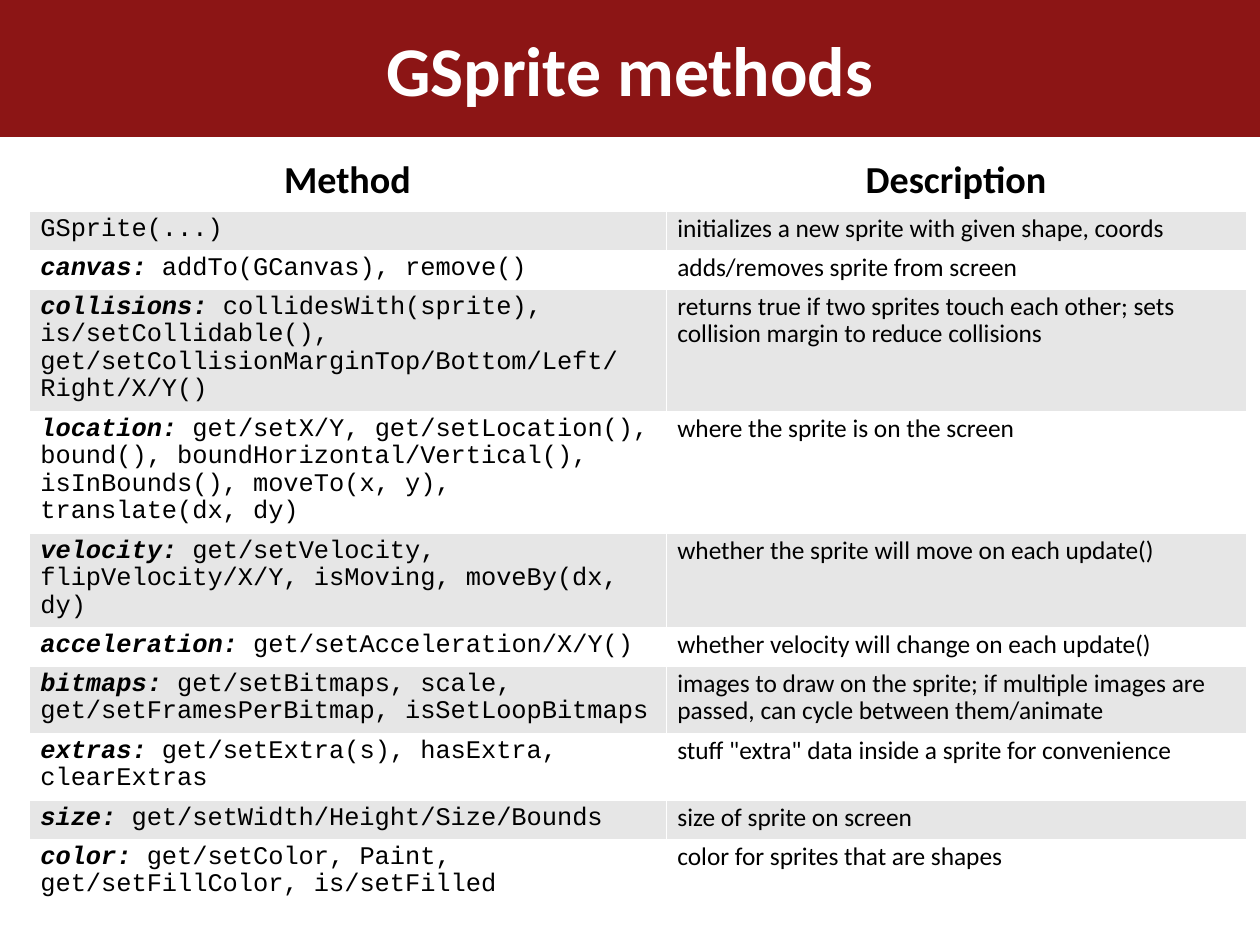
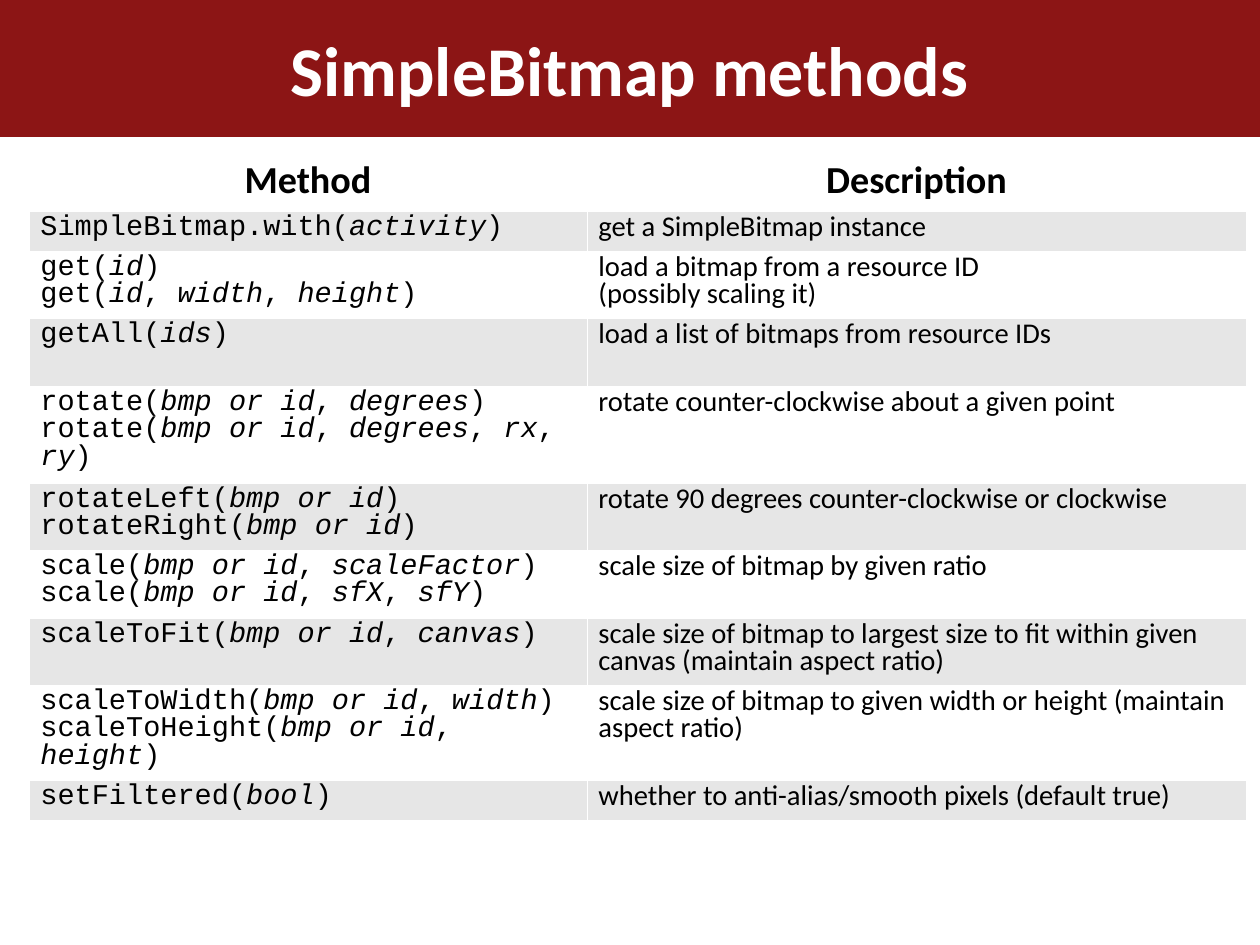
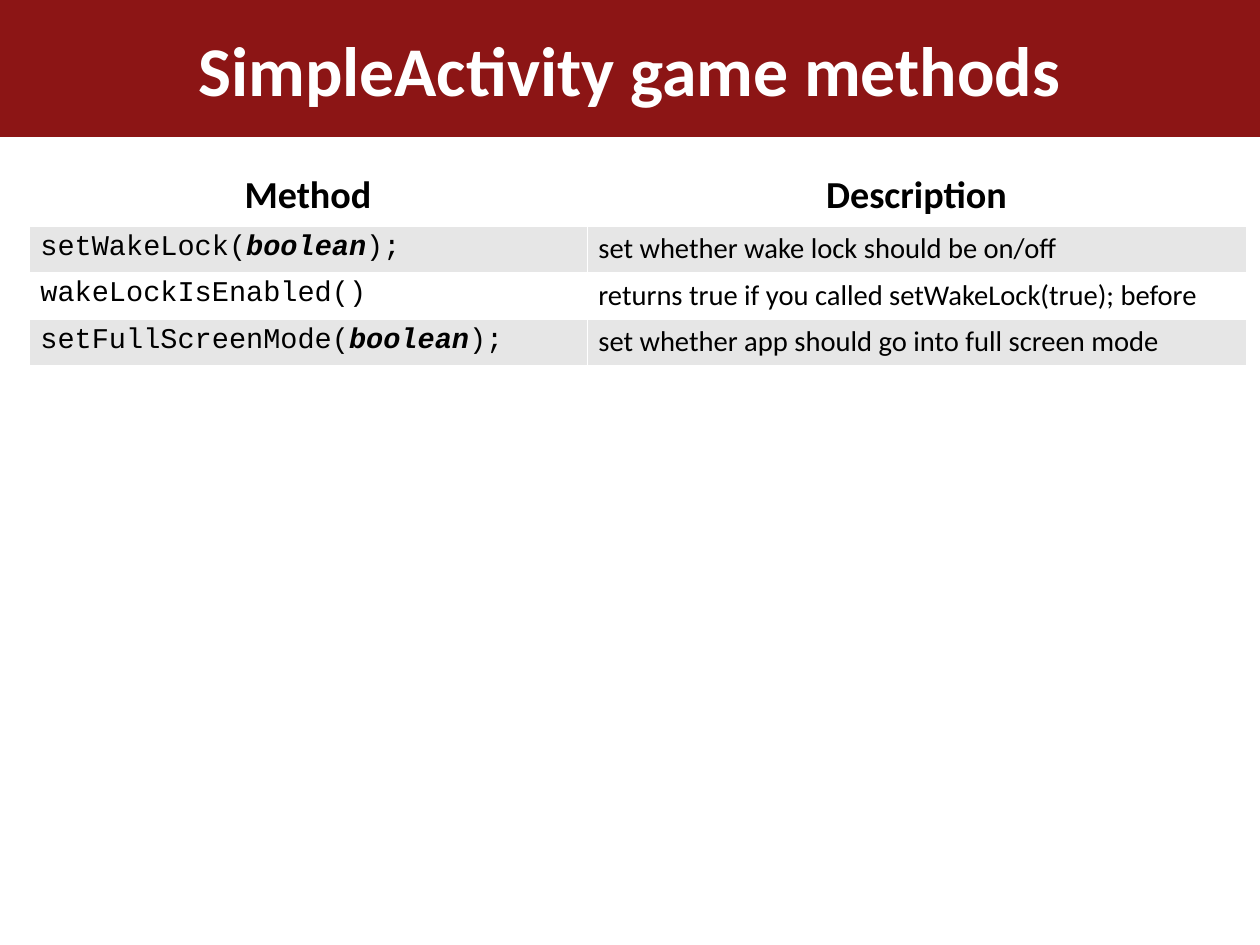
from dataclasses import dataclass

from lxml import etree
from pptx import Presentation
from pptx.dml.color import RGBColor
from pptx.enum import text as kinds
from pptx.oxml import ns
from pptx.util import Emu, Pt


@dataclass(frozen=True)
class Theme:
    band: str = "8C1515"
    white: str = "FFFFFF"
    black: str = "000000"
    stripe: str = "E6E6E6"
    body_font: str = "Calibri"
    code_font: str = "Courier New"
    title_size: int = 44
    head_size: int = 24
    leading: float = 17.3
    border: float = 0.06


THEME = Theme()
PX = 8000
PAGE_WIDTH, PAGE_HEIGHT, BAND_HEIGHT = 1260, 945, 137
TABLE_LEFT, TABLE_RIGHT, HEAD_HEIGHT = 29, 1246, 59
HEADINGS = ("Method", "Description")

PAGES = [
    dict(
        title="GSprite methods", top=152, split=666,
        size=16, leading=THEME.leading, strong=True,
        rows=[
            (39, "GSprite(...)", "initializes a new sprite with given shape, coords"),
            (39, "*canvas:* addTo(GCanvas), remove()", "adds/removes sprite from screen"),
            (122, "*collisions:* collidesWith(sprite), is/setCollidable(),\n"
                  "get/setCollisionMarginTop/Bottom/Left/Right/X/Y()",
             "returns true if two sprites touch each other; sets collision margin to reduce collisions"),
            (122, "*location:* get/setX/Y, get/setLocation(),\n"
                  "bound(), boundHorizontal/Vertical(), isInBounds(), moveTo(x, y), translate(dx, dy)",
             "where the sprite is on the screen"),
            (94, "*velocity:* get/setVelocity, flipVelocity/X/Y, isMoving, moveBy(dx, dy)",
             "whether the sprite will move on each update()"),
            (39, "*acceleration:* get/setAcceleration/X/Y()",
             "whether velocity will change on each update()"),
            (67, "*bitmaps:* get/setBitmaps, scale, get/setFramesPerBitmap, isSetLoopBitmaps",
             "images to draw on the sprite; if multiple images are passed, can cycle between them/animate"),
            (67, "*extras:* get/setExtra(s), hasExtra, clearExtras",
             'stuff "extra" data inside a sprite for convenience'),
            (39, "*size:* get/setWidth/Height/Size/Bounds", "size of sprite on screen"),
            (67, "*color:* get/setColor, Paint, get/setFillColor, is/setFilled",
             "color for sprites that are shapes"),
        ],
    ),
    dict(
        title="SimpleBitmap methods", top=152, split=587,
        size=18, leading=THEME.leading, strong=False,
        rows=[
            (40, "SimpleBitmap.with(*activity*)", "get a SimpleBitmap instance"),
            (67, "get(*id*)\nget(*id*, *width*, *height*)",
             "load a bitmap from a resource ID\n(possibly scaling it)"),
            (68, "getAll(*ids*)", "load a list of bitmaps from resource IDs"),
            (97, "rotate(*bmp or id*, *degrees*)\nrotate(*bmp or id*, *degrees*, *rx*, *ry*)",
             "rotate counter-clockwise about a given point"),
            (67, "rotateLeft(*bmp or id*)\nrotateRight(*bmp or id*)",
             "rotate 90 degrees counter-clockwise or clockwise"),
            (68, "scale(*bmp or id*, *scaleFactor*)\nscale(*bmp or id*, *sfX*, *sfY*)",
             "scale size of bitmap by given ratio"),
            (67, "scaleToFit(*bmp or id*, *canvas*)",
             "scale size of bitmap to largest size to fit within given canvas (maintain aspect ratio)"),
            (95, "scaleToWidth(*bmp or id*, *width*)\nscaleToHeight(*bmp or id*, *height*)",
             "scale size of bitmap to given width or height (maintain aspect ratio)"),
            (40, "setFiltered(*bool*)", "whether to anti-alias/smooth pixels (default true)"),
            (40, "", ""),
        ],
    ),
    dict(
        title="SimpleActivity game methods", top=167, split=587,
        size=18, leading=None, strong=True,
        rows=[
            (46, "setWakeLock(*boolean*);", "set whether wake lock should be on/off"),
            (46, "wakeLockIsEnabled()", "returns true if you called setWakeLock(true); before"),
            (46, "setFullScreenMode(*boolean*);", "set whether app should go into full screen mode"),
        ],
    ),
]


def px(length):
    return Emu(length * PX)


def paint(fill, color):
    fill.solid()
    fill.fore_color.rgb = RGBColor.from_string(color)


def write(frame, content, *, size, font=THEME.body_font, color=THEME.black,
          bold=False, strong=False, align=kinds.PP_ALIGN.LEFT, leading=None):
    for index, line in enumerate(content.split("\n")):
        para = frame.add_paragraph() if index else frame.paragraphs[0]
        para.alignment = align
        if leading:
            para.line_spacing = Pt(leading)
        for order, piece in enumerate(line.split("*")):
            if not piece:
                continue
            marked = order % 2 == 1
            span = para.add_run()
            span.text = piece
            span.font.name = font
            span.font.size = Pt(size)
            span.font.bold = bold or (marked and strong)
            span.font.italic = marked
            span.font.color.rgb = RGBColor.from_string(color)


def add_title(page, content):
    box = page.shapes.title
    box.left, box.top, box.width, box.height = map(px, (0, 0, PAGE_WIDTH, BAND_HEIGHT))
    paint(box.fill, THEME.band)
    frame = box.text_frame
    frame.margin_left = frame.margin_right = frame.margin_top = frame.margin_bottom = 0
    frame.vertical_anchor = kinds.MSO_ANCHOR.MIDDLE
    frame.auto_size = kinds.MSO_AUTO_SIZE.NONE
    write(frame, content, size=THEME.title_size, color=THEME.white, bold=True,
          align=kinds.PP_ALIGN.CENTER)


def format_cell(cell, color):
    paint(cell.fill, color)
    properties = cell._tc.get_or_add_tcPr()
    for index, side in enumerate(("lnL", "lnR", "lnT", "lnB")):
        line = etree.Element(ns.qn(f"a:{side}"), w=str(int(Pt(THEME.border))))
        solid = etree.SubElement(line, ns.qn("a:solidFill"))
        etree.SubElement(solid, ns.qn("a:srgbClr"), val=THEME.white)
        properties.insert(index, line)


def add_methods(page, *, top, split, size, leading, strong, rows):
    widths = (split - TABLE_LEFT, TABLE_RIGHT - split)
    heights = [HEAD_HEIGHT] + [row[0] for row in rows]
    table = page.shapes.add_table(
        len(heights), len(widths), px(TABLE_LEFT), px(top),
        px(sum(widths)), px(sum(heights))).table
    table.first_row = table.horz_banding = False
    for column, width in zip(table.columns, widths):
        column.width = px(width)
    for row, height in zip(table.rows, heights):
        row.height = px(height)
    for column, heading in enumerate(HEADINGS):
        cell = table.cell(0, column)
        format_cell(cell, THEME.white)
        write(cell.text_frame, heading, size=THEME.head_size, bold=True,
              align=kinds.PP_ALIGN.CENTER)
    for number, (_, *contents) in enumerate(rows, 1):
        for column, content in enumerate(contents):
            cell = table.cell(number, column)
            format_cell(cell, THEME.stripe if number % 2 else THEME.white)
            write(cell.text_frame, content, size=size, strong=strong, leading=leading,
                  font=THEME.body_font if column else THEME.code_font)


def main():
    deck = Presentation()
    deck.slide_width, deck.slide_height = px(PAGE_WIDTH), px(PAGE_HEIGHT)
    for content in PAGES:
        page = deck.slides.add_slide(deck.slide_layouts[5])
        paint(page.background.fill, THEME.white)
        add_title(page, content["title"])
        add_methods(page, **{key: value for key, value in content.items() if key != "title"})
    deck.save("out.pptx")


if __name__ == "__main__":
    main()
